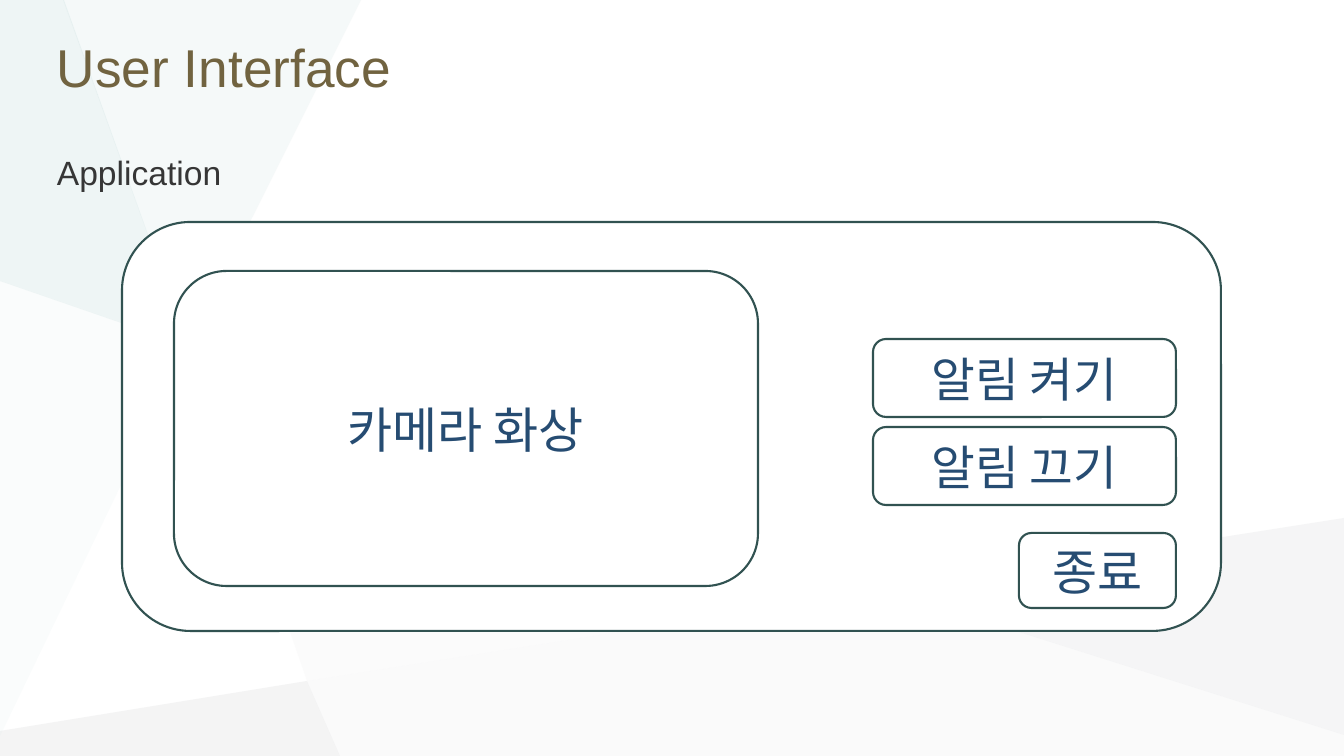
from lxml.etree import SubElement
from pptx import Presentation
from pptx.dml.color import RGBColor
from pptx.enum.shapes import MSO_SHAPE
from pptx.enum.text import MSO_ANCHOR, PP_ALIGN
from pptx.oxml.ns import qn
from pptx.util import Pt

SCALE = 914400 / 100.8
COLORS = {
    "title": "716340", "body": "363636", "label": "264C72",
    "outline": "315251", "panel": "FFFFFF",
    "warm": "F3F2F2", "gray": "B6B8BA", "silver": "C6C8CA",
    "mist": "E0EDED", "mint": "C1DBDB",
}


def emu(pixels):
    return round(pixels * SCALE)


def set_values(target, values):
    for name, value in values.items():
        setattr(target, name, value)


class SlideBuilder:
    font = "Arial"
    line_width = Pt(1.5)
    corner = 0.167

    def __init__(self, slide):
        self.slide = slide

    def color(self, name):
        return RGBColor.from_string(COLORS[name])

    def fill(self, shape, color):
        shape.shadow.inherit = False
        shape.fill.solid()
        shape.fill.fore_color.rgb = self.color(color)

    def add_label(self, shape, text, size, color, anchor, align):
        frame = shape.text_frame
        set_values(frame, {"word_wrap": True, "vertical_anchor": anchor})
        paragraph = frame.paragraphs[0]
        paragraph.alignment = align
        run = paragraph.add_run()
        run.text = text
        set_values(run.font, {"name": self.font, "size": Pt(size)})
        run.font.color.rgb = self.color(color)

    def facet(self, points, color, opacity):
        outline = self.slide.shapes.build_freeform(*points[0], scale=SCALE)
        outline.add_line_segments(points[1:], close=True)
        shape = outline.convert_to_shape()
        self.fill(shape, color)
        shape.line.fill.background()
        color_element = next(shape.element.spPr.iter(qn("a:srgbClr")))
        SubElement(color_element, qn("a:alpha"), val=str(opacity * 1000))

    def text(self, box, text, size, color, anchor):
        shape = self.slide.shapes.add_textbox(*map(emu, box))
        self.add_label(shape, text, size, color, anchor, PP_ALIGN.LEFT)

    def panel(self, box, label="", size=35):
        shape = self.slide.shapes.add_shape(MSO_SHAPE.ROUNDED_RECTANGLE, *map(emu, box))
        shape.adjustments[0] = self.corner
        self.fill(shape, "panel")
        shape.line.color.rgb = self.color("outline")
        shape.line.width = self.line_width
        if label:
            self.add_label(shape, label, size, "label", MSO_ANCHOR.MIDDLE, PP_ALIGN.CENTER)


WIDTH, HEIGHT = 1344, 756
presentation = Presentation()
set_values(presentation, {"slide_width": emu(WIDTH), "slide_height": emu(HEIGHT)})
builder = SlideBuilder(presentation.slides.add_slide(presentation.slide_layouts[6]))

upper_joint, lower_joint, right_joint = (188, 346), (307, 681), (886, 590)
left_edge, left_low, right_low = (0, 281), (0, 736), (WIDTH, 735)
bottom_joint = (340, HEIGHT)
facets = [
    ([(191, 347), lower_joint, right_joint], "warm", 26),
    ([lower_joint, (0, 731), (0, HEIGHT), bottom_joint], "gray", 15),
    ([(361, 0), (63, 0), upper_joint], "mist", 31),
    ([(WIDTH, 518), right_joint, right_low], "silver", 17),
    ([right_joint, lower_joint, bottom_joint, (WIDTH, HEIGHT), right_low], "gray", 6),
    ([(64, 0), (0, 0), left_edge, upper_joint], "mint", 27),
    ([left_edge, left_low, upper_joint], "mint", 8),
]
for points, color, opacity in facets:
    builder.facet(points, color, opacity)

builder.text((47, 14, 1246, 104), "User Interface", 38, "title", MSO_ANCHOR.MIDDLE)
builder.text((47, 147, 1246, 544), "Application", 24, "body", MSO_ANCHOR.TOP)

builder.panel((122, 222, 1099, 409))
builder.panel((174, 271, 584, 315), "카메라 화상")
builder.panel((1019, 533, 157, 75), "종료")
for row, label in enumerate(["알림 켜기", "알림 끄기"]):
    builder.panel((873, 339 + 88 * row, 303, 78), label, 34)

presentation.save("out.pptx")
